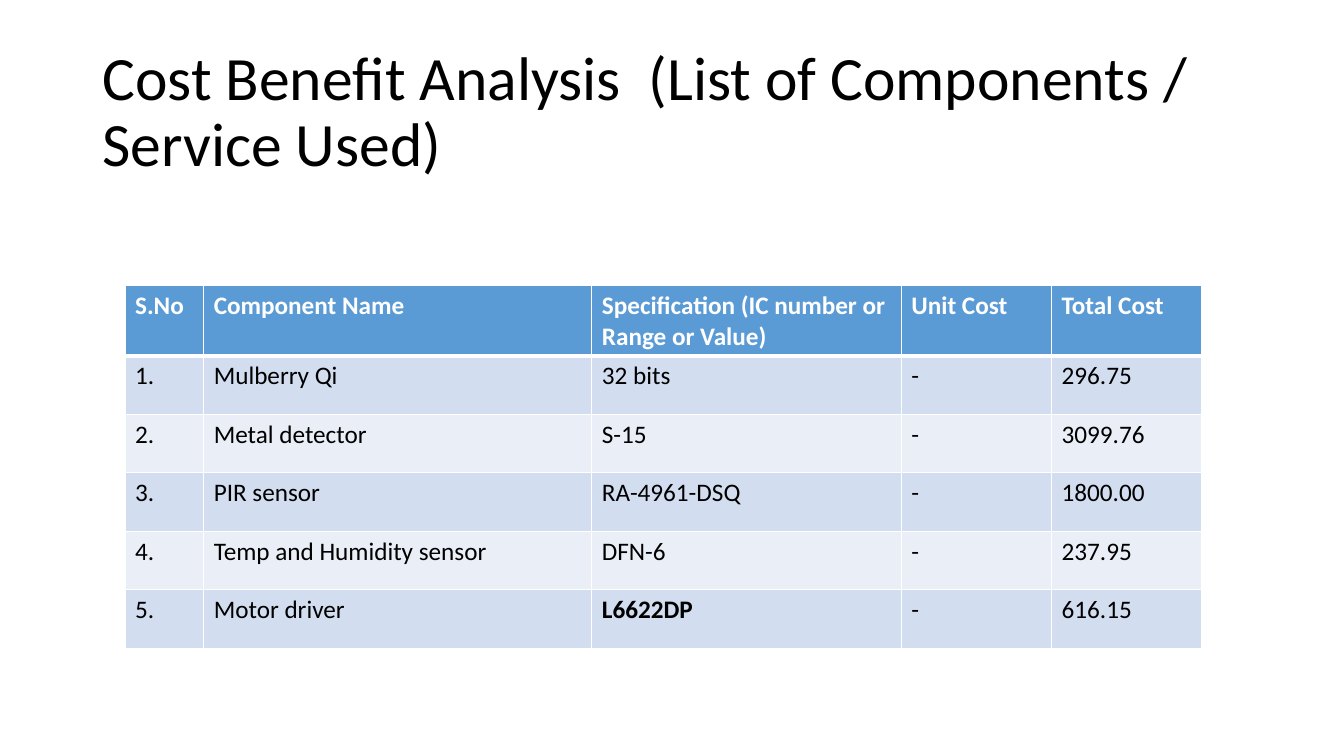
import pptx
import pptx.util
import pptx.dml.color
import pptx.enum.text
import pptx.oxml
import pptx.oxml.ns

TITLE = "Cost Benefit Analysis  (List of Components / Service Used)"
HEAD = ["S.No", "Component Name", "Specification (IC number or Range or Value)",
        "Unit Cost", "Total Cost"]
PARTS = [
    ("Mulberry Qi", "32 bits", "296.75"),
    ("Metal detector", "S-15", "3099.76"),
    ("PIR sensor", "RA-4961-DSQ", "1800.00"),
    ("Temp and Humidity sensor", "DFN-6", "237.95"),
    ("Motor driver", "L6622DP", "616.15"),
]
BOLD = {"L6622DP", *HEAD}
WIDTHS = [0.78, 3.85, 3.07, 1.49, 1.49]
HEIGHTS = [0.7] + [0.58] * len(PARTS)
COLORS = {"head": "5B9BD5", "odd": "D2DEEF", "even": "EAEFF7",
          "white": "FFFFFF", "black": "000000"}

Inches = pptx.util.Inches
Pt = pptx.util.Pt


def color(name):
    return pptx.dml.color.RGBColor.from_string(COLORS[name])


def style(para, tone, **form):
    for key, value in {"name": "Calibri", **form}.items():
        setattr(para.font, key, value)
    para.font.color.rgb = color(tone)


def border(cell, row):
    props = cell._tc.get_or_add_tcPr()
    thick = {0: "B", 1: "T"}.get(row)
    for side in "LRTB":
        width = Pt(3 if side == thick else 1)
        props.append(pptx.oxml.parse_xml(
            f'<a:ln{side} {pptx.oxml.ns.nsdecls("a")} w="{width}"><a:solidFill>'
            f'<a:srgbClr val="{COLORS["white"]}"/></a:solidFill></a:ln{side}>'))


deck = pptx.Presentation()
deck.slide_width, deck.slide_height = Inches(13.33), Inches(7.5)
slide = deck.slides.add_slide(deck.slide_layouts[6])

frame = slide.shapes.add_textbox(
    Inches(0.92), Inches(0.4), Inches(11.5), Inches(1.45)).text_frame
frame.word_wrap = True
frame.vertical_anchor = pptx.enum.text.MSO_ANCHOR.MIDDLE
title = frame.paragraphs[0]
title.text = TITLE
title.line_spacing = 0.9
style(title, "black", size=Pt(44))

rows = [HEAD] + [[f"{n}.", name, kind, "-", cost]
                 for n, (name, kind, cost) in enumerate(PARTS, 1)]
table = slide.shapes.add_table(
    len(rows), len(HEAD), Inches(1.24), Inches(2.83),
    Inches(sum(WIDTHS)), Inches(sum(HEIGHTS))).table
for col, width in zip(table.columns, WIDTHS):
    col.width = Inches(width)
for r, (texts, height) in enumerate(zip(rows, HEIGHTS)):
    table.rows[r].height = Inches(height)
    fill = "head" if r == 0 else "odd" if r % 2 else "even"
    for c, text in enumerate(texts):
        cell = table.cell(r, c)
        border(cell, r)
        cell.fill.solid()
        cell.fill.fore_color.rgb = color(fill)
        cell.text = text
        style(cell.text_frame.paragraphs[0], "black" if r else "white",
              size=Pt(18), bold=text in BOLD)

deck.save("out.pptx")
